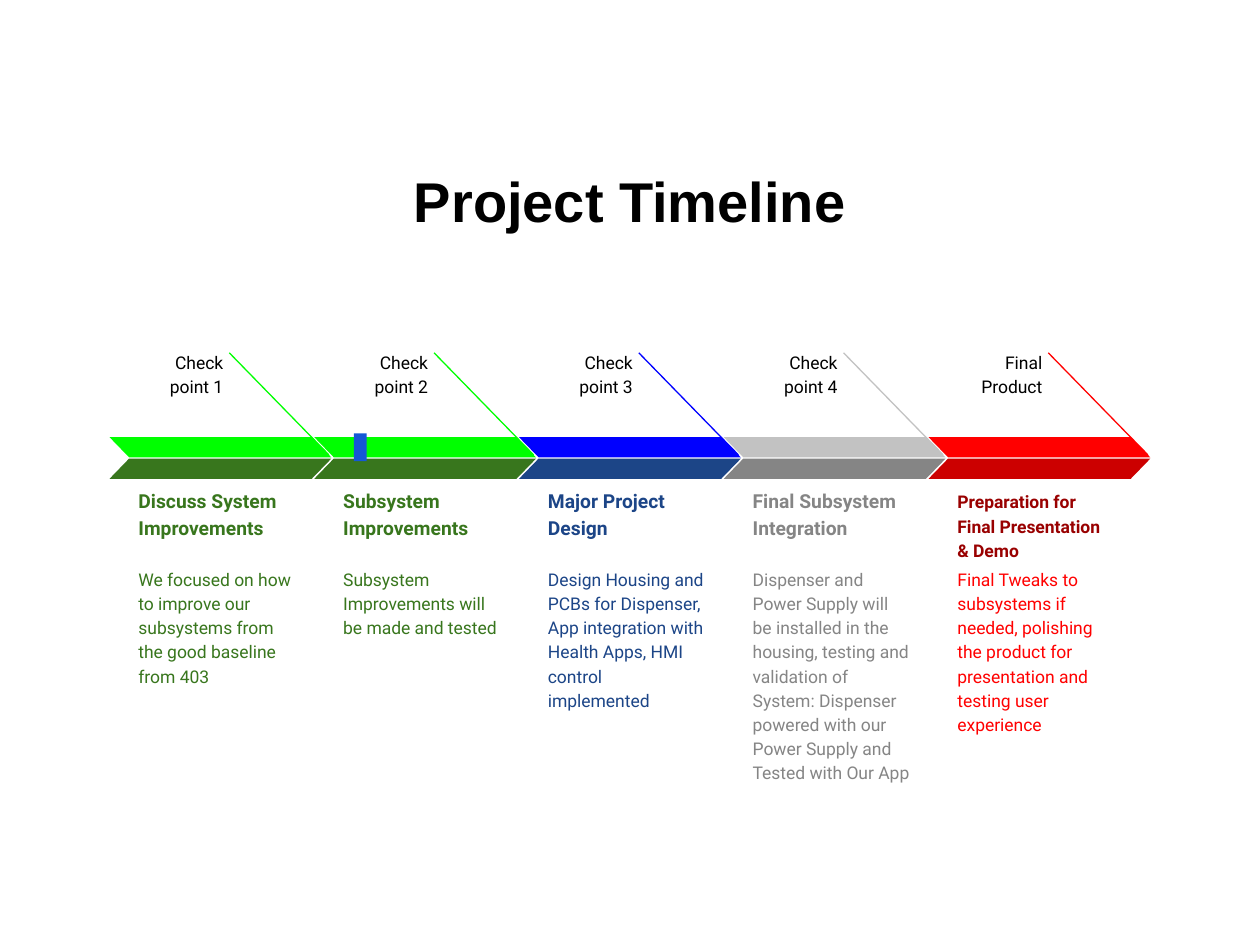
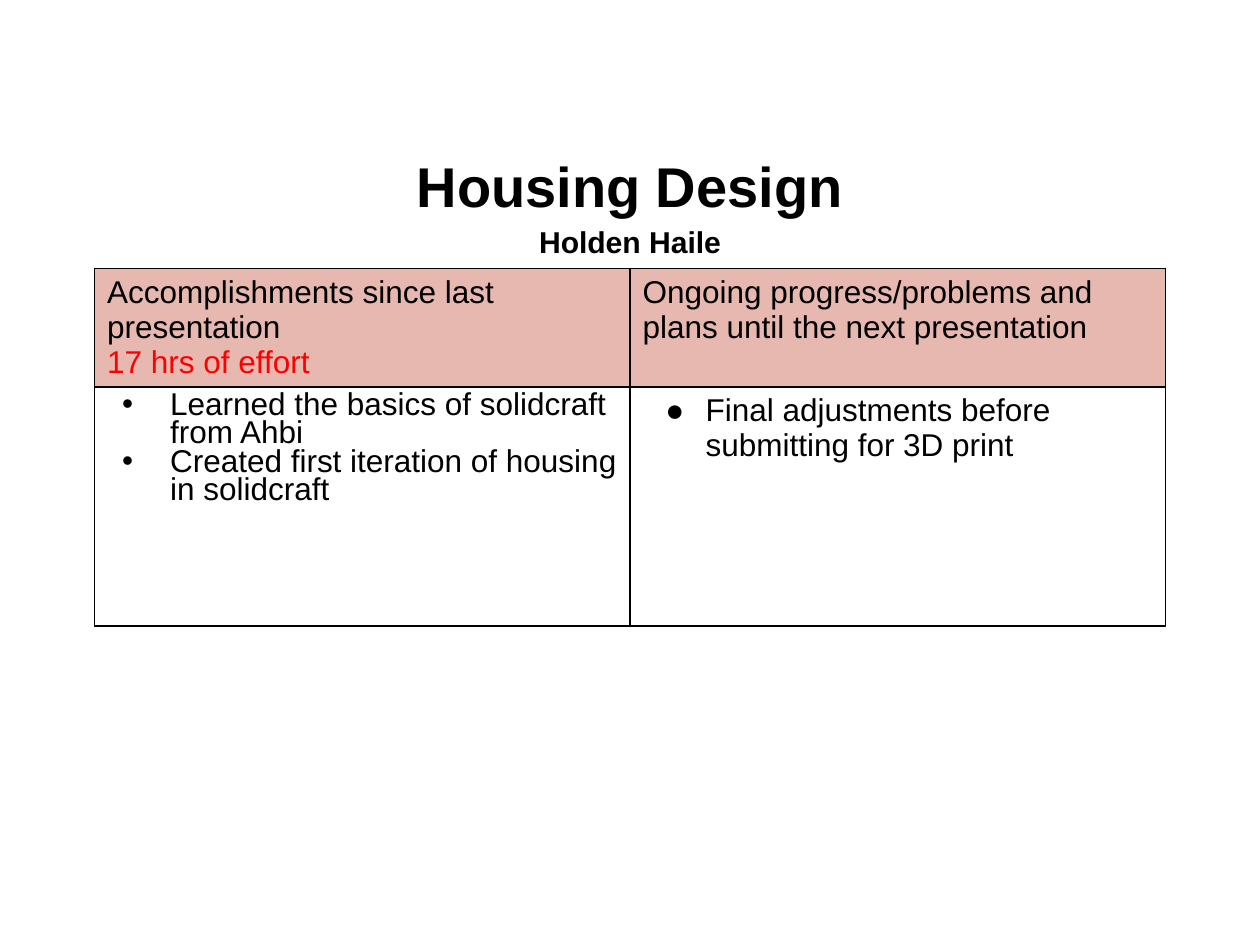
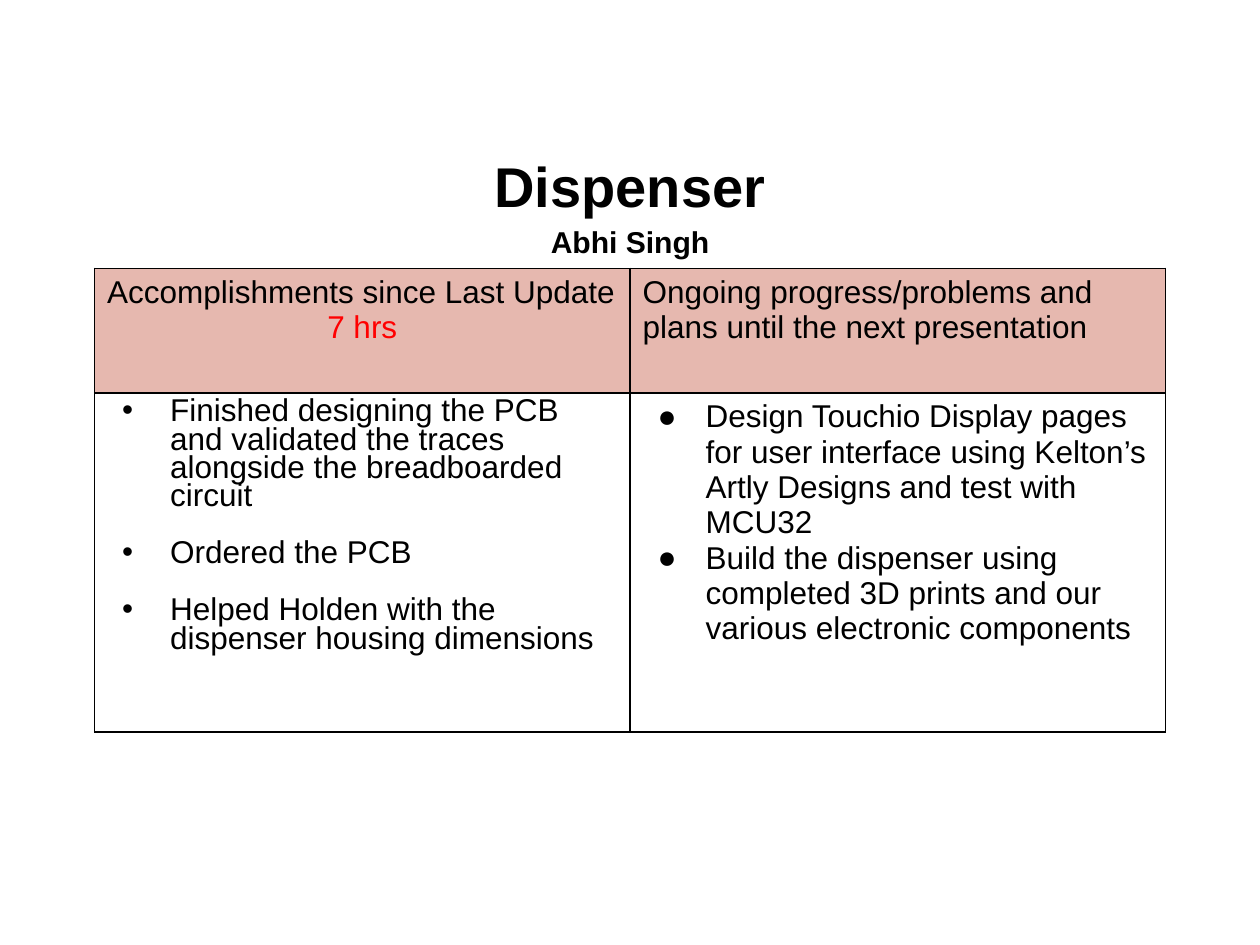
from lxml import etree
from pptx import Presentation
from pptx.dml.color import RGBColor
from pptx.enum.shapes import MSO_CONNECTOR, MSO_SHAPE
from pptx.enum.text import MSO_ANCHOR, MSO_AUTO_SIZE, PP_ALIGN
from pptx.oxml.ns import qn
from pptx.util import Inches, Pt

BLACK = RGBColor(0x00, 0x00, 0x00)
RED = RGBColor(0xFF, 0x00, 0x00)
MID_RED = RGBColor(0xCC, 0x00, 0x00)
DARK_RED = RGBColor(0x99, 0x00, 0x00)
LIME = RGBColor(0x00, 0xFF, 0x00)
GREEN = RGBColor(0x38, 0x76, 0x1D)
BLUE = RGBColor(0x00, 0x00, 0xFF)
NAVY = RGBColor(0x1C, 0x45, 0x87)
MARKER_BLUE = RGBColor(0x15, 0x58, 0xD6)
LIGHT_GRAY = RGBColor(0xC2, 0xC2, 0xC2)
GRAY = RGBColor(0x85, 0x85, 0x85)
PINK = RGBColor(0xE6, 0xB8, 0xAF)

TITLE_FONT = {"name": "Arial", "size": Pt(32), "bold": True}
SUBTITLE_FONT = {**TITLE_FONT, "size": Pt(17.2)}
TABLE_FONT = {"name": "Arial", "size": Pt(18)}
STAGE_FONT = {"name": "Roboto", "size": Pt(10)}
HEADING_FONT = {"name": "Roboto", "size": Pt(11), "bold": True}

STAGE_LEFT, STAGE_PITCH = 0.87, 1.625
BAR_WIDTH, BAR_HEIGHT = 1.76, 0.16
ONGOING = "Ongoing progress/problems and plans until the next presentation"

# checkpoint, heading, description, bright colour, dark colour
STAGES = [
    ("Check point 1", "Discuss System Improvements",
     "We focused on how to improve our subsystems from the good baseline from 403",
     LIME, GREEN),
    ("Check point 2", "Subsystem Improvements",
     "Subsystem Improvements will be made and tested", LIME, GREEN),
    ("Check point 3", "Major Project Design",
     "Design Housing and PCBs for Dispenser, App integration with Health Apps, "
     "HMI control implemented", BLUE, NAVY),
    ("Check point 4", "Final Subsystem Integration",
     "Dispenser and Power Supply will be installed in the housing, testing and "
     "validation of System: Dispenser powered with our Power Supply and Tested "
     "with Our App", LIGHT_GRAY, GRAY),
    ("Final Product", "Preparation for Final Presentation & Demo",
     "Final Tweaks to subsystems if needed, polishing the product for "
     "presentation and testing user experience", RED, MID_RED),
]


def set_all(target, values):
    for name, value in values.items():
        setattr(target, name, value)


def write(paragraph, text, font, color=BLACK, **layout):
    run = paragraph.add_run()
    run.text = text
    set_all(run.font, font)
    run.font.color.rgb = color
    set_all(paragraph, layout)


def next_paragraph(frame, index):
    return frame.add_paragraph() if index else frame.paragraphs[0]


def add_titled_slide(presentation, title, subtitle=None):
    slide = presentation.slides.add_slide(presentation.slide_layouts[5])
    shape = slide.shapes.title
    set_all(shape, {"left": Inches(0.5), "top": Inches(1.15),
                    "width": Inches(9), "height": Inches(0.88)})
    frame = shape.text_frame
    set_all(frame, {"auto_size": MSO_AUTO_SIZE.NONE, "word_wrap": True,
                    "vertical_anchor": MSO_ANCHOR.MIDDLE})
    spacing = 1.15 if subtitle else 1.0
    write(frame.paragraphs[0], title, TITLE_FONT,
          alignment=PP_ALIGN.CENTER, line_spacing=spacing)
    if subtitle:
        write(frame.add_paragraph(), subtitle, SUBTITLE_FONT,
              alignment=PP_ALIGN.CENTER, line_spacing=spacing)
    return slide


def add_text(slide, box, text, font, color=BLACK,
             alignment=PP_ALIGN.LEFT, anchor=MSO_ANCHOR.TOP):
    frame = slide.shapes.add_textbox(*map(Inches, box)).text_frame
    margins = dict.fromkeys(
        ("margin_left", "margin_top", "margin_right", "margin_bottom"), Inches(0.1))
    set_all(frame, {**margins, "word_wrap": True, "vertical_anchor": anchor})
    write(frame.paragraphs[0], text, font, color,
          alignment=alignment, line_spacing=1.15)


def add_filled_shape(slide, kind, box, color):
    shape = slide.shapes.add_shape(kind, *map(Inches, box))
    shape.shadow.inherit = False
    shape.fill.solid()
    shape.fill.fore_color.rgb = color
    shape.line.fill.background()
    return shape


def add_bar(slide, left, top, color, flipped=False):
    bar = add_filled_shape(slide, MSO_SHAPE.PARALLELOGRAM,
                           (left, top, BAR_WIDTH, BAR_HEIGHT), color)
    bar.adjustments[0] = 0.97
    if flipped:
        bar._element.spPr.find(qn("a:xfrm")).set("flipH", "1")


def add_line(slide, start, end, color):
    line = slide.shapes.add_connector(
        MSO_CONNECTOR.STRAIGHT, *map(Inches, (*start, *end)))
    line.line.color.rgb = color
    line.line.width = Pt(0.75)
    etree.SubElement(line._element.spPr, qn("a:effectLst"))


def add_stage(slide, left, stage, is_final):
    checkpoint, heading, description, bright, dark = stage
    add_line(slide, (left + 0.95, 2.8), (left + 1.74, 3.61), bright)
    add_bar(slide, left, 3.47, bright, flipped=True)
    add_bar(slide, left, 3.64, dark)
    if is_final:
        heading_top, heading_font, heading_color = (
            4.06, {**HEADING_FONT, "size": Pt(10)}, DARK_RED)
    else:
        heading_top, heading_font, heading_color = 3.89, HEADING_FONT, dark
    add_text(slide, (left + 0.13, heading_top, 1.45, 0.49), heading,
             heading_font, heading_color, anchor=MSO_ANCHOR.BOTTOM)
    add_text(slide, (left + 0.13, 4.39, 1.45, 0.81), description,
             STAGE_FONT, bright if is_final else dark)
    add_text(slide, (left + 0.21, 2.67, 0.79, 0.26), checkpoint,
             STAGE_FONT, alignment=PP_ALIGN.RIGHT)


def add_bullet(paragraph, character, indent):
    properties = paragraph._p.get_or_add_pPr()
    properties.set("marL", str(Inches(0.5)))
    properties.set("indent", str(-Inches(indent)))
    color = etree.SubElement(properties, qn("a:buClr"))
    etree.SubElement(color, qn("a:srgbClr")).set("val", str(BLACK))
    etree.SubElement(properties, qn("a:buFont")).set("typeface", "Arial")
    etree.SubElement(properties, qn("a:buChar")).set("char", character)


def write_bullets(cell, items, character, indent, line_spacing=1.0, gap=0):
    for index, item in enumerate(items):
        paragraph = next_paragraph(cell.text_frame, index)
        write(paragraph, item, TABLE_FONT, line_spacing=line_spacing,
              space_before=Pt(gap if index else 0))
        add_bullet(paragraph, character, indent)


def format_cell(cell, color=None):
    if color is None:
        cell.fill.background()
    properties = cell._tc.get_or_add_tcPr()
    for position, side in enumerate(("a:lnL", "a:lnR", "a:lnT", "a:lnB")):
        border = etree.Element(qn(side), w=str(Pt(1)))
        fill = etree.SubElement(border, qn("a:solidFill"))
        etree.SubElement(fill, qn("a:srgbClr")).set("val", str(BLACK))
        properties.insert(position, border)
    if color is not None:
        cell.fill.solid()
        cell.fill.fore_color.rgb = color


def add_progress_table(slide, row_heights, heading, effort, done, planned,
                       effort_alignment=PP_ALIGN.LEFT, done_gap=0,
                       planned_indent=0.38):
    table = slide.shapes.add_table(2, 2, Inches(0.75), Inches(2.13), Inches(8.5),
                                   Inches(sum(row_heights))).table
    set_all(table, {"first_row": False, "horz_banding": False})
    for row, height in zip(table.rows, row_heights):
        row.height = Inches(height)
    for column in range(2):
        format_cell(table.cell(0, column), PINK)
        format_cell(table.cell(1, column))
    heading_frame = table.cell(0, 0).text_frame
    write(heading_frame.paragraphs[0], heading, TABLE_FONT)
    write(heading_frame.add_paragraph(), effort, TABLE_FONT, RED,
          alignment=effort_alignment)
    write(table.cell(0, 1).text_frame.paragraphs[0], ONGOING, TABLE_FONT)
    write_bullets(table.cell(1, 0), done, "•", 0.38, 0.8, done_gap)
    write_bullets(table.cell(1, 1), planned, "●", planned_indent)


def build_timeline(presentation):
    slide = add_titled_slide(presentation, "Project Timeline")
    for index, stage in enumerate(STAGES):
        add_stage(slide, STAGE_LEFT + index * STAGE_PITCH, stage,
                  is_final=index == len(STAGES) - 1)
    add_filled_shape(slide, MSO_SHAPE.RECTANGLE, (2.81, 3.44, 0.1, 0.22), MARKER_BLUE)


def build_housing(presentation):
    slide = add_titled_slide(presentation, "Housing Design", "Holden Haile")
    add_progress_table(
        slide, (0.94, 1.9), "Accomplishments since last presentation",
        "17 hrs of effort",
        ["Learned the basics of solidcraft from Ahbi",
         "Created first iteration of housing in solidcraft"],
        ["Final adjustments before submitting for 3D print"],
        planned_indent=0.32)


def build_dispenser(presentation):
    slide = add_titled_slide(presentation, "Dispenser", "Abhi Singh")
    add_progress_table(
        slide, (0.99, 2.69), "Accomplishments since Last Update", "7 hrs",
        ["Finished designing the PCB and validated the traces alongside the "
         "breadboarded circuit",
         "Ordered the PCB",
         "Helped Holden with the dispenser housing dimensions"],
        ["Design Touchio Display pages for user interface using Kelton’s "
         "Artly Designs and test with MCU32",
         "Build the dispenser using completed 3D prints and our various "
         "electronic components"],
        effort_alignment=PP_ALIGN.CENTER, done_gap=16.5)


def main():
    presentation = Presentation()
    set_all(presentation, {"slide_width": Inches(10), "slide_height": Inches(7.5)})
    build_timeline(presentation)
    build_housing(presentation)
    build_dispenser(presentation)
    presentation.save("out.pptx")


if __name__ == "__main__":
    main()
